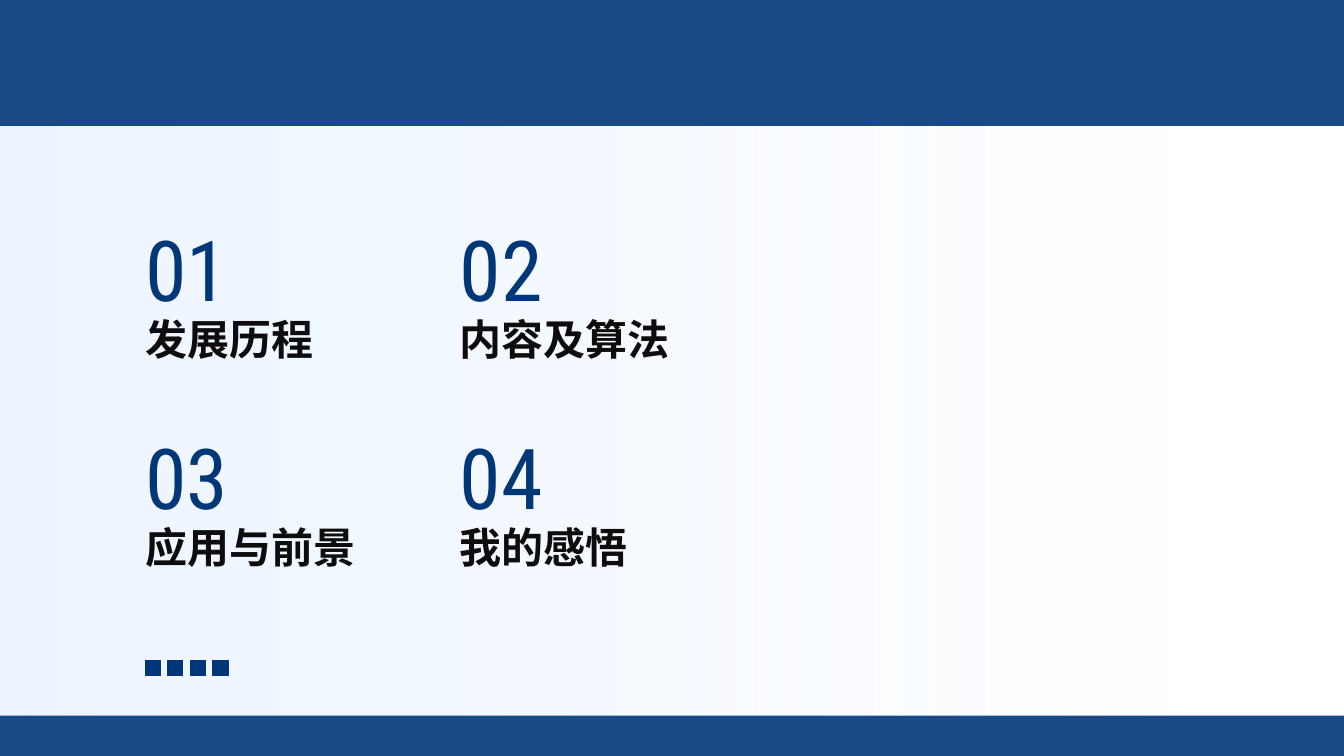
from dataclasses import dataclass

from lxml.etree import SubElement
from pptx import Presentation
from pptx.dml.color import RGBColor
from pptx.enum.shapes import MSO_SHAPE
from pptx.enum.text import MSO_ANCHOR
from pptx.oxml import parse_xml
from pptx.oxml.ns import nsdecls, qn
from pptx.util import Inches, Pt


@dataclass(frozen=True)
class Theme:
    navy: str = "003778"
    ink: str = "0D0D0D"
    panel_stops: tuple = ((0, "EBF4FF", 93), (50, "F6FAFF", 93), (100, "FFFFFF", 0))
    bar_opacity: int = 90
    number_font: str = "Roboto Condensed"
    title_font: str = "Noto Sans CJK SC"
    number_size: int = 60
    title_size: int = 30


class AgendaSlide:
    def __init__(self, slide, theme):
        self.slide = slide
        self.theme = theme

    def rectangle(self, left, top, width, height):
        shape = self.slide.shapes.add_shape(
            MSO_SHAPE.RECTANGLE, Inches(left), Inches(top), Inches(width), Inches(height))
        shape.shadow.inherit = False
        shape.fill.solid()
        shape.fill.fore_color.rgb = RGBColor.from_string(self.theme.navy)
        shape.line.fill.background()
        return shape

    def panel(self, left, top, width, height):
        shape = self.rectangle(left, top, width, height)
        stops = "".join(
            f'<a:gs pos="{position * 1000}"><a:srgbClr val="{color}">'
            f'<a:alpha val="{opacity * 1000}"/></a:srgbClr></a:gs>'
            for position, color, opacity in self.theme.panel_stops)
        gradient = parse_xml(
            f'<a:gradFill {nsdecls("a")} rotWithShape="1"><a:gsLst>{stops}</a:gsLst>'
            '<a:lin ang="0" scaled="0"/></a:gradFill>')
        properties = shape.element.spPr
        properties.replace(properties.find(qn("a:solidFill")), gradient)

    def bar(self, left, top, width, height):
        shape = self.rectangle(left, top, width, height)
        color = shape.element.spPr.find(f'{qn("a:solidFill")}/{qn("a:srgbClr")}')
        SubElement(color, qn("a:alpha"), val=str(self.theme.bar_opacity * 1000))

    def marker(self, left, top, size):
        shape = self.rectangle(left, top, size, size)
        shape.line.color.rgb = RGBColor.from_string(self.theme.navy)
        shape.line.width = Pt(1)

    def text(self, left, top, width, height, words, font, size, color, bold=False, inset_top=0):
        box = self.slide.shapes.add_textbox(
            Inches(left), Inches(top), Inches(width), Inches(height))
        frame = box.text_frame
        frame_format = {
            "word_wrap": True,
            "vertical_anchor": MSO_ANCHOR.MIDDLE,
            "margin_left": 0,
            "margin_top": Inches(inset_top),
            "margin_right": Inches(0.1),
            "margin_bottom": Inches(0.05),
        }
        for name, value in frame_format.items():
            setattr(frame, name, value)
        paragraph = frame.paragraphs[0]
        paragraph.line_spacing = 0.9
        run = paragraph.add_run()
        run.text = words
        for name, value in {"name": font, "size": Pt(size), "bold": bold}.items():
            setattr(run.font, name, value)
        run.font.color.rgb = RGBColor.from_string(color)
        SubElement(run.font._element, qn("a:ea"), typeface=font)

    def agenda_item(self, left, top, number, title):
        theme = self.theme
        self.text(left, top, 1.21, 1, f"{number:02}", theme.number_font,
                  theme.number_size, theme.navy, inset_top=0.05)
        self.text(left, top + 1, 2.6, 0.39, title, theme.title_font,
                  theme.title_size, theme.ink, bold=True)


def main():
    presentation = Presentation()
    presentation.slide_width = Inches(13.33)
    presentation.slide_height = Inches(7.5)
    slide = presentation.slides.add_slide(presentation.slide_layouts[6])
    agenda = AgendaSlide(slide, Theme())

    # Background panel and bars
    agenda.panel(0, 1.24, 13.33, 5.88)
    agenda.bar(0, 7.1, 13.33, 0.4)
    agenda.bar(0, 0, 13.33, 1.25)

    # Agenda in two columns
    titles = ["发展历程", "内容及算法", "应用与前景", "我的感悟"]
    for index, title in enumerate(titles):
        row, column = divmod(index, 2)
        agenda.agenda_item(1.44 + 3.12 * column, 2.22 + 2.06 * row, index + 1, title)

    # Row of square markers
    for index in range(4):
        agenda.marker(1.44 + 0.2233 * index, 6.55, 0.15)

    presentation.save("out.pptx")


if __name__ == "__main__":
    main()
